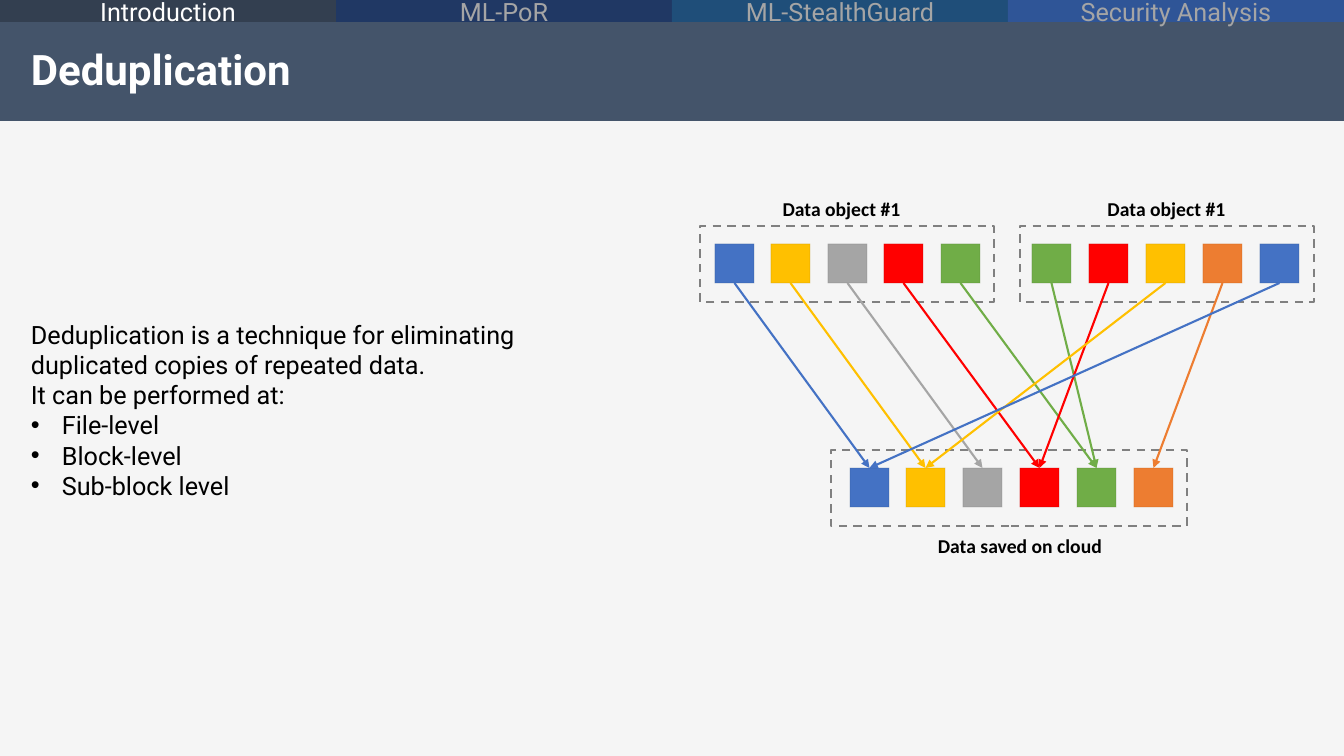
from dataclasses import dataclass
from typing import Optional

from lxml.etree import SubElement
from pptx import Presentation
from pptx.dml.color import RGBColor
from pptx.enum.dml import MSO_LINE
from pptx.enum.shapes import MSO_CONNECTOR, MSO_SHAPE
from pptx.enum.text import MSO_ANCHOR, PP_ALIGN
from pptx.oxml.ns import qn
from pptx.shapes.autoshape import Shape
from pptx.slide import Slide
from pptx.text.text import TextFrame, _Paragraph
from pptx.util import Pt

SLIDE_WIDTH, SLIDE_HEIGHT = 1344, 756
EMU_PER_PX = 914400 / 100.8
TAB_HEIGHT = 22
HEADER_BOTTOM = 121
BLOCK_SIZE = 39
BULLET_INDENT = 31

COLORS = {
    "white": "FFFFFF",
    "black": "000000",
    "content": "E7E6E6",
    "header": "44546A",
    "inactive": "A5A5A5",
    "frame": "808080",
    "blue": "4472C4",
    "yellow": "FFC000",
    "gray": "A5A5A5",
    "red": "FF0000",
    "green": "70AD47",
    "orange": "ED7D31",
    "introduction": "333F50",
    "por": "203864",
    "stealth": "1F4E79",
    "security": "2F5597",
}
EDGES = {
    "blue": "325491",
    "yellow": "BD8E00",
    "gray": "7A7A7A",
    "red": "C00000",
    "green": "538035",
    "orange": "C55A11",
}


@dataclass(frozen=True)
class Box:
    left: int
    top: int
    width: int
    height: int

    def emu(self) -> list[int]:
        return [px(n) for n in (self.left, self.top, self.width, self.height)]


@dataclass(frozen=True)
class Tab:
    title: str
    fill: str
    text: str = "inactive"


@dataclass(frozen=True)
class BlockRow:
    label: str
    label_box: Box
    frame: Box
    first: int
    last: int
    top: int
    blocks: tuple[str, ...]


TABS = (
    Tab("Introduction", "introduction", "white"),
    Tab("ML-PoR", "por"),
    Tab("ML-StealthGuard", "stealth"),
    Tab("Security Analysis", "security"),
)
DATA_OBJECTS = (
    BlockRow("Data object #1", Box(754, 192, 175, 34), Box(700, 226, 294, 76),
             715, 941, 244, ("blue", "yellow", "gray", "red", "green")),
    BlockRow("Data object #1", Box(1079, 192, 175, 34), Box(1020, 226, 294, 76),
             1032, 1260, 244, ("green", "red", "yellow", "orange", "blue")),
)
CLOUD = BlockRow("Data saved on cloud", Box(913, 529, 214, 34), Box(831, 450, 356, 76),
                 850, 1134, 468, ("blue", "yellow", "gray", "red", "green", "orange"))
STATEMENTS = (
    "Deduplication is a technique for eliminating duplicated copies of repeated data.",
    "It can be performed at:",
)
LEVELS = ("File-level", "Block-level", "Sub-block level")


def px(length: int) -> int:
    return round(length * EMU_PER_PX)


def rgb(name: str) -> RGBColor:
    return RGBColor.from_string(COLORS[name])


def set_opacity(properties, percent: int) -> None:
    color = next(properties.iter(qn("a:srgbClr")))
    SubElement(color, qn("a:alpha"), val=str(percent * 1000))


def add_rectangle(slide: Slide, box: Box, fill: Optional[str]) -> Shape:
    rectangle = slide.shapes.add_shape(MSO_SHAPE.RECTANGLE, *box.emu())
    rectangle.shadow.inherit = False
    rectangle.line.fill.background()
    if fill:
        rectangle.fill.solid()
        rectangle.fill.fore_color.rgb = rgb(fill)
    else:
        rectangle.fill.background()
    return rectangle


def style(paragraph: _Paragraph, font: str, size: int, color: str, bold: bool = False) -> None:
    paragraph.font.name = font
    paragraph.font.size = Pt(size)
    paragraph.font.color.rgb = rgb(color)
    paragraph.font.bold = bold


def add_text(slide: Slide, box: Box) -> TextFrame:
    frame = slide.shapes.add_textbox(*box.emu()).text_frame
    frame.word_wrap = True
    return frame


def add_tabs(slide: Slide) -> None:
    width = SLIDE_WIDTH // len(TABS)
    for index, tab in enumerate(TABS):
        box = Box(index * width, 0, width, TAB_HEIGHT)
        frame = add_rectangle(slide, box, tab.fill).text_frame
        frame.margin_top = frame.margin_bottom = 0
        frame.vertical_anchor = MSO_ANCHOR.MIDDLE
        heading = frame.paragraphs[0]
        heading.text = tab.title
        heading.alignment = PP_ALIGN.CENTER
        style(heading, "Roboto", 18, tab.text)


def add_title(slide: Slide, box: Box) -> None:
    frame = add_text(slide, box)
    frame.vertical_anchor = MSO_ANCHOR.MIDDLE
    title = frame.paragraphs[0]
    title.text = "Deduplication"
    title.line_spacing = 0.9
    style(title, "Roboto", 30, "white", bold=True)


def add_explanation(slide: Slide) -> None:
    frame = add_text(slide, Box(21, 314, 618, 194))
    for index, sentence in enumerate(STATEMENTS + LEVELS):
        paragraph = frame.add_paragraph() if index else frame.paragraphs[0]
        paragraph.text = sentence
        if sentence in LEVELS:
            properties = paragraph._p.get_or_add_pPr()
            properties.set("marL", str(px(BULLET_INDENT)))
            properties.set("indent", str(-px(BULLET_INDENT)))
            SubElement(properties, qn("a:buFont"), typeface="Arial")
            SubElement(properties, qn("a:buChar"), char="•")
        style(paragraph, "Roboto", 18, "black")


def add_block_row(slide: Slide, row: BlockRow) -> dict[str, Shape]:
    outline = add_rectangle(slide, row.frame, None).line
    outline.color.rgb = rgb("frame")
    outline.width = Pt(1.5)
    outline.dash_style = MSO_LINE.DASH

    label = add_text(slide, row.label_box).paragraphs[0]
    label.text = row.label
    label.alignment = PP_ALIGN.CENTER
    style(label, "Calibri", 14, "black", bold=True)

    blocks = {}
    for index, color in enumerate(row.blocks):
        left = row.first + (row.last - row.first) * index // (len(row.blocks) - 1)
        block = add_rectangle(slide, Box(left, row.top, BLOCK_SIZE, BLOCK_SIZE), color)
        block.line.color.rgb = RGBColor.from_string(EDGES[color])
        block.line.width = Pt(1)
        set_opacity(block.line._ln, 20)
        blocks[color] = block
    return blocks


def add_arrow(slide: Slide, source: Shape, target: Shape, color: str) -> None:
    arrow = slide.shapes.add_connector(MSO_CONNECTOR.STRAIGHT, 0, 0, 0, 0)
    arrow.begin_connect(source, 2)
    arrow.end_connect(target, 0)
    arrow.line.color.rgb = rgb(color)
    arrow.line.width = Pt(1.5)
    SubElement(arrow.line._ln, qn("a:tailEnd"), type="triangle")
    SubElement(arrow._element.spPr, qn("a:effectLst"))


def main() -> None:
    deck = Presentation()
    deck.slide_width, deck.slide_height = px(SLIDE_WIDTH), px(SLIDE_HEIGHT)
    slide = deck.slides.add_slide(deck.slide_layouts[6])

    content = Box(0, HEADER_BOTTOM, SLIDE_WIDTH, SLIDE_HEIGHT - HEADER_BOTTOM)
    set_opacity(add_rectangle(slide, content, "content")._element.spPr, 38)
    header_height = HEADER_BOTTOM - TAB_HEIGHT
    add_rectangle(slide, Box(0, TAB_HEIGHT, SLIDE_WIDTH, header_height), "header")
    add_tabs(slide)
    add_title(slide, Box(21, TAB_HEIGHT, 1297, header_height))
    add_explanation(slide)

    saved = add_block_row(slide, CLOUD)
    for row in DATA_OBJECTS:
        for color, block in add_block_row(slide, row).items():
            add_arrow(slide, block, saved[color], color)
    deck.save("out.pptx")


if __name__ == "__main__":
    main()
